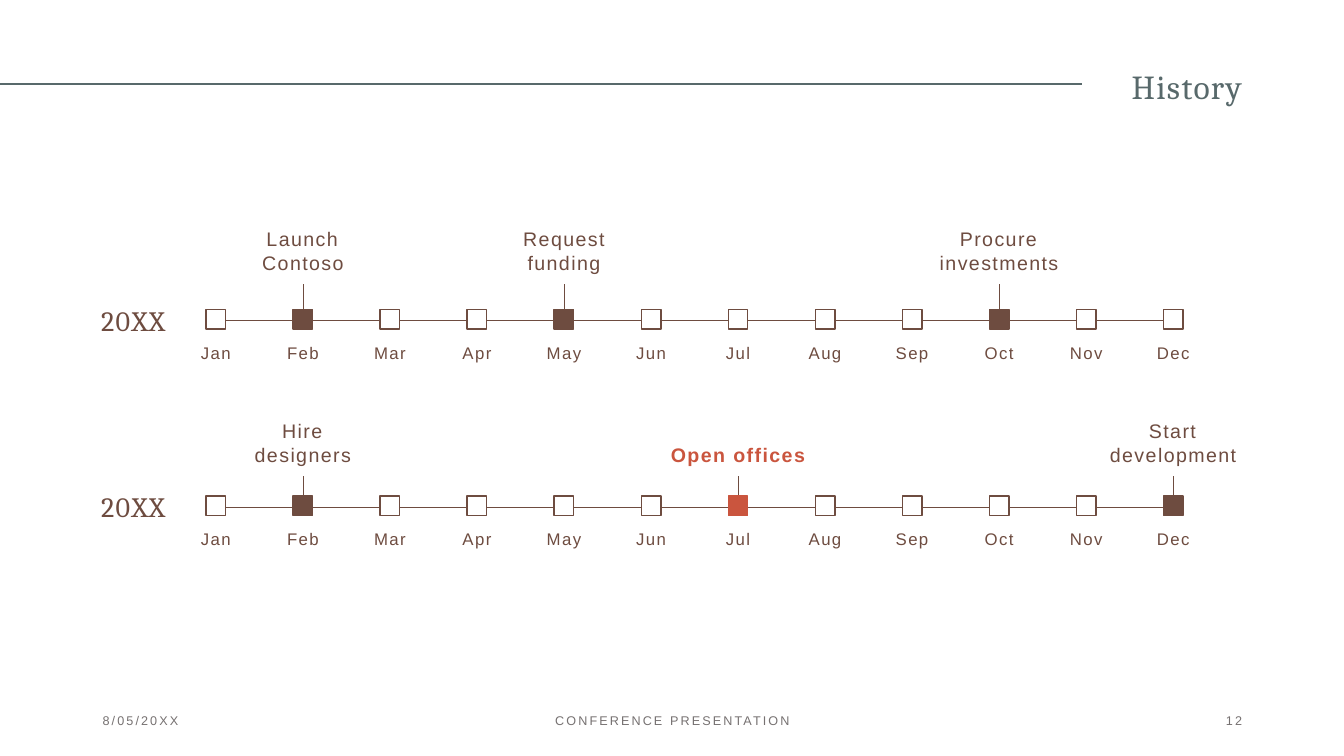
import dataclasses
import lxml.etree
import pptx
import pptx.dml.color
import pptx.enum.shapes
import pptx.enum.text
import pptx.oxml.ns
import pptx.util

CELL = pptx.util.Inches(0.1)
COLUMNS, ROWS = 133.33, 75
MONTHS = "Jan Feb Mar Apr May Jun Jul Aug Sep Oct Nov Dec".split()
ALIGN = pptx.enum.text.PP_ALIGN
ANCHOR = pptx.enum.text.MSO_ANCHOR


@dataclasses.dataclass(frozen=True)
class Theme:
    slate: str = "58696B"
    brown: str = "6E4C40"
    accent: str = "CA553E"
    grey: str = "767171"
    serif: str = "Cambria"
    sans: str = "Arial"
    title: float = 24
    year: float = 20
    event: float = 14
    month: float = 12
    footer: float = 9


THEME = Theme()


@dataclasses.dataclass(frozen=True)
class Box:
    left: float
    top: float
    width: float
    height: float

    def inner(self, left, top, width, height):
        return Box(self.left + left, self.top + top, width, height)

    def lengths(self):
        return [cells(n) for n in (self.left, self.top, self.width, self.height)]


def cells(count):
    return round(count * CELL)


def color(value):
    return pptx.dml.color.RGBColor.from_string(value)


def add_text(page, box, text, size, ink=THEME.brown, font=THEME.sans, bold=False,
             align=ALIGN.CENTER, anchor=ANCHOR.MIDDLE, leading=1.0, tracking=1, inset=1):
    frame = page.shapes.add_textbox(*box.lengths()).text_frame
    frame.word_wrap = True
    frame.vertical_anchor = anchor
    frame.margin_left = frame.margin_right = cells(inset)
    for index, line in enumerate(text.split("\n")):
        para = frame.paragraphs[0] if index == 0 else frame.add_paragraph()
        para.alignment = align
        para.line_spacing = leading
        span = para.add_run()
        span.text = line
        span.font.name = font
        span.font.size = pptx.util.Pt(size)
        span.font.bold = bold
        span.font.color.rgb = color(ink)
        span.font._element.set("spc", str(round(tracking * 100)))


def add_line(page, start, end, ink=THEME.brown, weight=0.5):
    line = page.shapes.add_connector(
        pptx.enum.shapes.MSO_CONNECTOR.STRAIGHT,
        *(cells(n) for n in (*start, *end)))
    line.line.color.rgb = color(ink)
    line.line.width = pptx.util.Pt(weight)
    lxml.etree.SubElement(line._element.spPr, pptx.oxml.ns.qn("a:effectLst"))


def add_marker(page, box, ink, filled):
    marker = page.shapes.add_shape(
        pptx.enum.shapes.MSO_SHAPE.RECTANGLE, *box.lengths())
    marker.shadow.inherit = False
    marker.line.color.rgb = color(ink)
    marker.line.width = pptx.util.Pt(1)
    if filled:
        marker.fill.solid()
        marker.fill.fore_color.rgb = color(ink)
    else:
        marker.fill.background()


def add_header(page, box, title):
    middle = box.top + 8.3
    add_line(page, (box.left, middle), (box.left + 107.3, middle), THEME.slate, 1.5)
    add_text(page, box.inner(102.9, 1.1, 21.3, 13.9), title, THEME.title,
             ink=THEME.slate, font=THEME.serif, align=ALIGN.RIGHT, leading=1.25)


def add_timeline(page, box, year, events, highlight=None):
    side, caption_width, month_width = 1.95, 15.7, 5.4
    axis = box.top + box.height
    first = 9.5
    pitch = (box.width - first) / len(MONTHS)
    centers = [first + pitch * (index + 0.5) for index in range(len(MONTHS))]

    add_text(page, box.inner(0, box.height - 2.6, 11.2, 5.5), year,
             THEME.year, font=THEME.serif, leading=0.9)
    for index, (month, center) in enumerate(zip(MONTHS, centers)):
        ink = THEME.accent if month == highlight else THEME.brown
        across = box.left + center
        if index:
            add_line(page, (across - pitch + side / 2, axis), (across - side / 2, axis))
        if month in events:
            add_text(page, box.inner(center - caption_width / 2, 0, caption_width, 5.1),
                     events[month], THEME.event, ink=ink,
                     bold=month == highlight, anchor=ANCHOR.BOTTOM)
            add_line(page, (across, box.top + 5.6), (across, axis))
        add_marker(page, box.inner(center - side / 2, box.height - 1.1, side, side),
                   ink, month in events)
        add_text(page, box.inner(center - month_width / 2, box.height + 2.05, month_width, 7.1),
                 month, THEME.month, anchor=ANCHOR.TOP, leading=0.8, inset=0)


def add_footer(page, box, date, name, number):
    side = 30
    parts = (
        (date, 0, side, ALIGN.LEFT),
        (name, 35, 45, ALIGN.CENTER),
        (number, box.width - side, side, ALIGN.RIGHT),
    )
    for text, left, width, align in parts:
        add_text(page, box.inner(left, 0, width, box.height), text, THEME.footer,
                 ink=THEME.grey, align=align, tracking=1.5)


def main():
    deck = pptx.Presentation()
    deck.slide_width, deck.slide_height = cells(COLUMNS), cells(ROWS)
    page = deck.slides.add_slide(deck.slide_layouts[6])
    add_header(page, Box(0, 0, COLUMNS, 15), "History")
    add_timeline(page, Box(7.6, 22.6, 113.1, 9.2), "20XX", {
        "Feb": "Launch Contoso",
        "May": "Request\nfunding",
        "Oct": "Procure investments",
    })
    add_timeline(page, Box(7.6, 41.65, 113.1, 8.65), "20XX", {
        "Feb": "Hire designers",
        "Jul": "Open offices",
        "Dec": "Start development",
    }, highlight="Jul")
    add_footer(page, Box(9.2, 69.5, 115, 4), "8/05/20XX", "CONFERENCE PRESENTATION", "12")
    deck.save("out.pptx")


if __name__ == "__main__":
    main()
